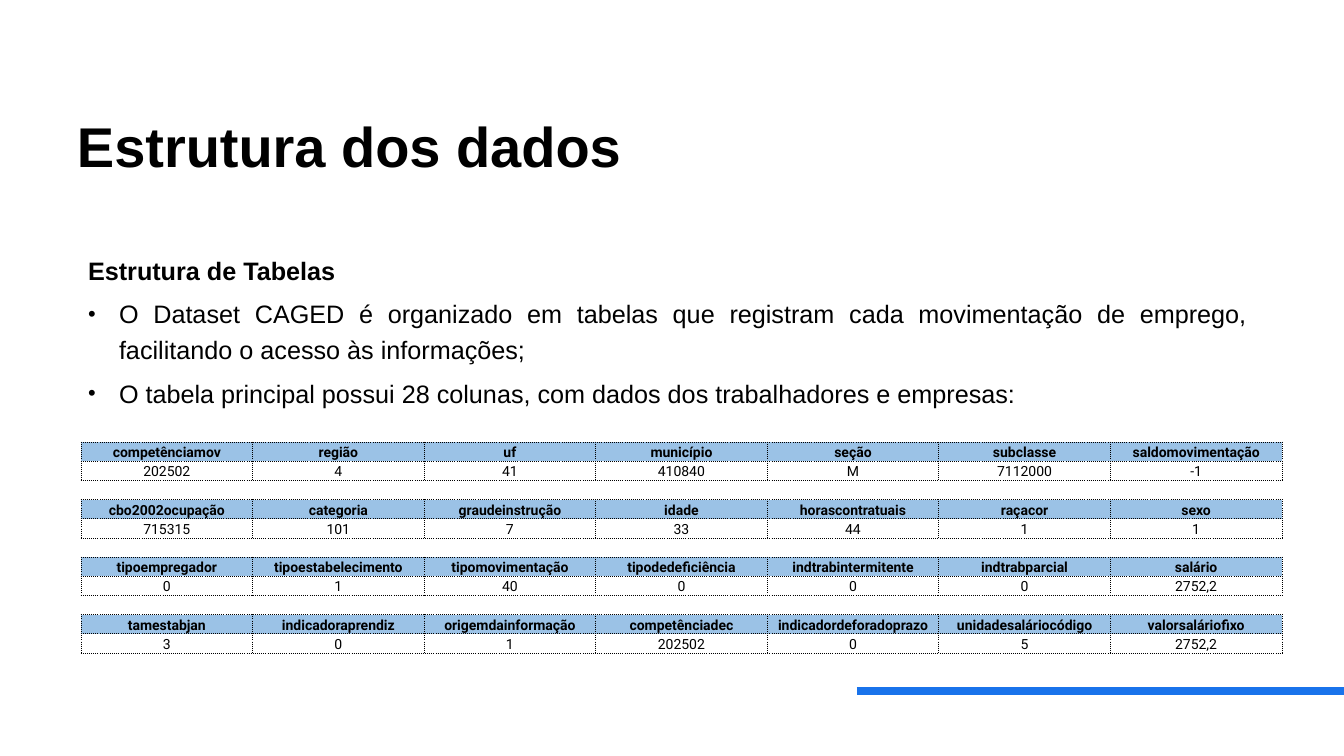
"""Builds the slide on the structure of the CAGED data."""
import pptx
import pptx.dml.color
import pptx.enum.dml
import pptx.enum.shapes
import pptx.enum.text
import pptx.oxml
import pptx.oxml.ns
import pptx.util
from lxml import etree

PX = 914400 / 100.8
BLACK = pptx.dml.color.RGBColor(0x00, 0x00, 0x00)
HEADER_BLUE = pptx.dml.color.RGBColor(0x9B, 0xC2, 0xE6)
ACCENT_BLUE = pptx.dml.color.RGBColor(0x19, 0x73, 0xEB)
NO_STYLE = "{2D5ABB26-0587-4C30-8999-92F81FD0307C}"
HEADING = "Estrutura de Tabelas"
BULLETS = [
    "O Dataset CAGED é organizado em tabelas que registram cada movimentação "
    "de emprego, facilitando o acesso às informações;",
    "O tabela principal possui 28 colunas, com dados dos trabalhadores e empresas:",
]
FIELD_GROUPS = [
    (["competênciamov", "região", "uf", "município", "seção", "subclasse",
      "saldomovimentação"],
     ["202502", "4", "41", "410840", "M", "7112000", "-1"]),
    (["cbo2002ocupação", "categoria", "graudeinstrução", "idade",
      "horascontratuais", "raçacor", "sexo"],
     ["715315", "101", "7", "33", "44", "1", "1"]),
    (["tipoempregador", "tipoestabelecimento", "tipomovimentação",
      "tipodedeficiência", "indtrabintermitente", "indtrabparcial", "salário"],
     ["0", "1", "40", "0", "0", "0", "2752,2"]),
    (["tamestabjan", "indicadoraprendiz", "origemdainformação", "competênciadec",
      "indicadordeforadoprazo", "unidadesaláriocódigo", "valorsaláriofixo"],
     ["3", "0", "1", "202502", "0", "5", "2752,2"]),
]


def px(length):
    """Turn a length in px into EMU."""
    return pptx.util.Emu(round(length * PX))


def place(holder, left, top, width, height):
    """Move a placeholder and prepare its text frame."""
    holder.left, holder.top = px(left), px(top)
    holder.width, holder.height = px(width), px(height)
    frame = holder.text_frame
    frame.word_wrap = True
    frame.auto_size = pptx.enum.text.MSO_AUTO_SIZE.NONE
    frame.vertical_anchor = pptx.enum.text.MSO_ANCHOR.TOP
    return frame


def add_run(paragraph, text, size, bold=False, font="Arial"):
    """Add one black run to a paragraph."""
    run = paragraph.add_run()
    run.text = text
    run.font.name = font
    run.font.size = pptx.util.Pt(size)
    run.font.bold = bold
    run.font.color.rgb = BLACK


def format_item(paragraph, space_before, indent, bullet=None):
    """Set spacing, indent and bullet of a body paragraph."""
    paragraph.alignment = pptx.enum.text.PP_ALIGN.JUSTIFY
    paragraph.line_spacing = 1.2
    paragraph.space_before = pptx.util.Pt(space_before)
    properties = paragraph._p.get_or_add_pPr()
    properties.set("marL", str(px(indent)))
    properties.set("indent", str(px(-indent)))
    tag = pptx.oxml.ns.qn
    if bullet:
        etree.SubElement(properties, tag("a:buSzPct"), val="87000")
        etree.SubElement(properties, tag("a:buFont"), typeface="Arial")
        etree.SubElement(properties, tag("a:buChar"), char=bullet)
    else:
        etree.SubElement(properties, tag("a:buNone"))


def add_title(slide):
    """Fill the title placeholder."""
    frame = place(slide.shapes.title, 71, 101, 694, 121)
    frame.margin_left, frame.margin_top = px(6), px(11)
    title = frame.paragraphs[0]
    title.alignment = pptx.enum.text.PP_ALIGN.LEFT
    title.line_spacing = 1.0
    add_run(title, "Estrutura dos dados", 40, bold=True)


def add_body(slide):
    """Fill the body placeholder with the heading and its bullets."""
    frame = place(slide.placeholders[1], 79, 240, 1177, 455)
    frame.margin_left = frame.margin_right = frame.margin_top = px(9)
    heading = frame.paragraphs[0]
    format_item(heading, 25, 0)
    add_run(heading, HEADING, 18, bold=True)
    for text in BULLETS:
        item = frame.add_paragraph()
        item.level = 1
        format_item(item, 5, 31, "•")
        add_run(item, text, 18)


def add_accent_line(slide):
    """Draw the blue line that runs to the right edge."""
    line = slide.shapes.add_connector(
        pptx.enum.shapes.MSO_CONNECTOR.STRAIGHT, px(857), px(691), px(1344), px(691))
    line.line.color.rgb = ACCENT_BLUE
    line.line.width = pptx.util.Pt(6)
    etree.SubElement(line._element.spPr, pptx.oxml.ns.qn("a:effectLst"))


def set_borders(cell, sides):
    """Give the named sides of a cell a dotted black border."""
    properties = cell._tc.get_or_add_tcPr()
    for side in sides:
        properties.append(pptx.oxml.parse_xml(
            f'<a:ln{side} {pptx.oxml.ns.nsdecls("a")} w="6350">'
            f'<a:solidFill><a:srgbClr val="{BLACK}"/></a:solidFill>'
            f'<a:prstDash val="sysDot"/></a:ln{side}>'))


def format_cell(cell, sides, fill=None):
    """Set the insets, borders and fill of a cell."""
    cell.margin_left = cell.margin_right = cell.margin_top = px(1)
    cell.margin_bottom = 0
    cell.vertical_anchor = pptx.enum.text.MSO_ANCHOR.BOTTOM
    set_borders(cell, sides)
    if fill is None:
        cell.fill.background()
    else:
        cell.fill.solid()
        cell.fill.fore_color.rgb = fill


def fill_row(row, texts, bold=False, fill=None):
    """Write one row of names or values."""
    for cell, text in zip(row.cells, texts):
        format_cell(cell, "LRTB", fill)
        paragraph = cell.text_frame.paragraphs[0]
        paragraph.alignment = pptx.enum.text.PP_ALIGN.CENTER
        add_run(paragraph, text, 10, bold, "Roboto")


def clear_row(row):
    """Leave a row empty between two groups of fields."""
    for cell in row.cells:
        format_cell(cell, "TB")
        paragraph = cell.text_frame.paragraphs[0]._p
        etree.SubElement(paragraph, pptx.oxml.ns.qn("a:endParaRPr"), sz="1000")


def add_field_table(slide):
    """Add the table of the 28 columns in groups of seven."""
    row_count = 3 * len(FIELD_GROUPS) - 1
    table = slide.shapes.add_table(
        row_count, len(FIELD_GROUPS[0][0]), px(81), px(442), px(1201), px(211)).table
    table.first_row = table.horz_banding = False
    table._tbl.tblPr.find(pptx.oxml.ns.qn("a:tableStyleId")).text = NO_STYLE
    for group, (names, values) in enumerate(FIELD_GROUPS):
        header = 3 * group
        fill_row(table.rows[header], names, bold=True, fill=HEADER_BLUE)
        fill_row(table.rows[header + 1], values)
        if header:
            clear_row(table.rows[header - 1])


def main():
    """Build and save the slide."""
    deck = pptx.Presentation()
    deck.slide_width, deck.slide_height = px(1344), px(756)
    slide = deck.slides.add_slide(deck.slide_layouts[1])
    add_title(slide)
    add_body(slide)
    add_accent_line(slide)
    add_field_table(slide)
    deck.save("out.pptx")


if __name__ == "__main__":
    main()
